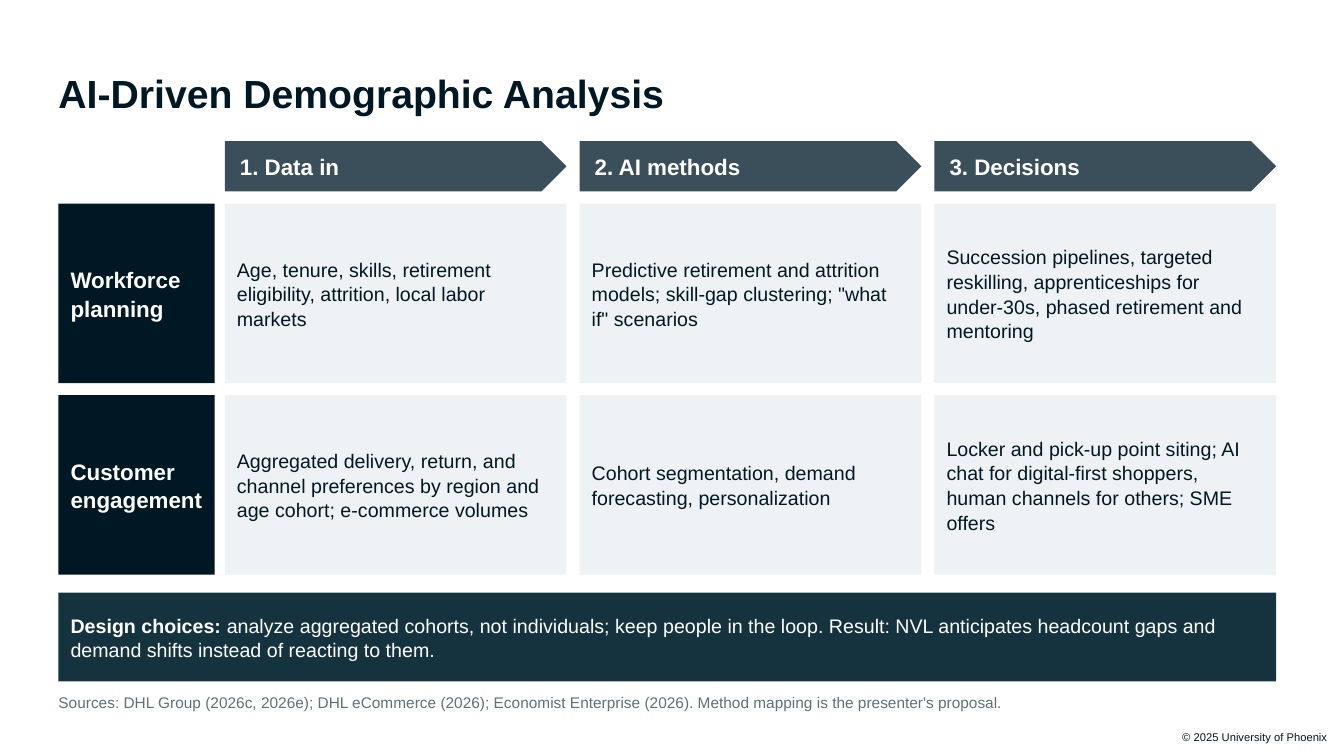
"""Build a slide that maps demographic data to AI methods and decisions."""
from pptx import Presentation
from pptx.dml.color import RGBColor
from pptx.enum.shapes import MSO_SHAPE
from pptx.enum.text import MSO_ANCHOR, MSO_AUTO_SIZE, PP_ALIGN
from pptx.util import Pt

RECTANGLE, PENTAGON = MSO_SHAPE.RECTANGLE, MSO_SHAPE.PENTAGON
TOP, MIDDLE, BOTTOM = MSO_ANCHOR.TOP, MSO_ANCHOR.MIDDLE, MSO_ANCHOR.BOTTOM
LEFT, RIGHT = PP_ALIGN.LEFT, PP_ALIGN.RIGHT
NO_AUTOFIT = MSO_AUTO_SIZE.NONE

COLORS = {
    "ink": "001823",
    "header": "3A4F59",
    "cell": "EEF2F4",
    "banner": "15333E",
    "source": "5E7079",
    "white": "FFFFFF",
}
FONT = "Arial"
MARGIN, CONTENT_WIDTH = 41.76, 869.76
LABEL_WIDTH = 111.6
COLUMN_LEFT, COLUMN_STEP, COLUMN_WIDTH = 160.56, 253.44, 244.08
ROW_TOP, ROW_STEP, ROW_HEIGHT = 145.44, 136.8, 128.16
NO_INSETS = (0, 0, 0, 0)
BOX_INSETS = (8.64, 5.76, 8.64, 5.76)
HEADER_INSETS = (10.8, 2.88, 21.6, 2.88)

HEADERS = ["1. Data in", "2. AI methods", "3. Decisions"]
ROWS = [
    ("Workforce planning", [
        "Age, tenure, skills, retirement eligibility, attrition, local labor markets",
        'Predictive retirement and attrition models; skill-gap clustering; "what if" scenarios',
        "Succession pipelines, targeted reskilling, apprenticeships for under-30s, "
        "phased retirement and mentoring",
    ]),
    ("Customer engagement", [
        "Aggregated delivery, return, and channel preferences by region and age cohort; "
        "e-commerce volumes",
        "Cohort segmentation, demand forecasting, personalization",
        "Locker and pick-up point siting; AI chat for digital-first shoppers, "
        "human channels for others; SME offers",
    ]),
]
DESIGN_CHOICES = [
    ("Design choices: ", True),
    ("analyze aggregated cohorts, not individuals; keep people in the loop. Result: NVL "
     "anticipates headcount gaps and demand shifts instead of reacting to them.", False),
]
SOURCES = ("Sources: DHL Group (2026c, 2026e); DHL eCommerce (2026); Economist Enterprise "
           "(2026). Method mapping is the presenter's proposal.")


def write_text(shape, runs, size, color, insets=NO_INSETS, anchor=TOP, align=LEFT,
               line_spacing=1.0):
    """Write (text, bold) runs as one paragraph and format the frame."""
    frame = shape.text_frame
    frame.word_wrap = True
    frame.auto_size = NO_AUTOFIT
    frame.vertical_anchor = anchor
    frame.margin_left, frame.margin_top, frame.margin_right, frame.margin_bottom = map(Pt, insets)
    paragraph = frame.paragraphs[0]
    paragraph.alignment = align
    paragraph.line_spacing = line_spacing
    for text, bold in runs:
        run = paragraph.add_run()
        run.text = text
        run.font.name = FONT
        run.font.size = Pt(size)
        run.font.bold = bold
        run.font.color.rgb = RGBColor.from_string(COLORS[color])


def add_title(slide, text):
    """Place and fill the title placeholder."""
    title = slide.shapes.title
    title.left, title.top = Pt(MARGIN), Pt(36)
    title.width, title.height = Pt(CONTENT_WIDTH), Pt(46.8)
    write_text(title, [(text, True)], 28, "ink", anchor=BOTTOM)


def add_note(slide, place, text, size, color, align=LEFT):
    """Add a plain line of small text."""
    box = slide.shapes.add_textbox(*map(Pt, place))
    write_text(box, [(text, False)], size, color, align=align)


def add_panel(slide, place, fill, runs, size, color, kind=RECTANGLE, insets=BOX_INSETS):
    """Add a filled shape with vertically centred text."""
    panel = slide.shapes.add_shape(kind, *map(Pt, place))
    panel.shadow.inherit = False
    panel.fill.solid()
    panel.fill.fore_color.rgb = RGBColor.from_string(COLORS[fill])
    panel.line.fill.background()
    write_text(panel, runs, size, color, insets, MIDDLE, line_spacing=1.05)


def add_matrix(slide):
    """Add the step headers, the row labels and the cells."""
    lefts = [COLUMN_LEFT + index * COLUMN_STEP for index in range(len(HEADERS))]
    for left, header in zip(lefts, HEADERS):
        add_panel(slide, (left, 100.8, COLUMN_WIDTH, 36), "header", [(header, True)],
                  16, "white", PENTAGON, HEADER_INSETS)
    for index, (label, cells) in enumerate(ROWS):
        top = ROW_TOP + index * ROW_STEP
        add_panel(slide, (MARGIN, top, LABEL_WIDTH, ROW_HEIGHT), "ink", [(label, True)],
                  16, "white")
        for left, cell in zip(lefts, cells):
            add_panel(slide, (left, top, COLUMN_WIDTH, ROW_HEIGHT), "cell",
                      [(cell, False)], 14, "ink")


def main():
    """Build and save the presentation."""
    presentation = Presentation()
    presentation.slide_width, presentation.slide_height = Pt(960), Pt(540)
    slide = presentation.slides.add_slide(presentation.slide_layouts.get_by_name("Title Only"))
    add_title(slide, "AI-Driven Demographic Analysis")
    add_note(slide, (252, 522, 696.24, 18), "© 2025 University of Phoenix", 8, "ink", RIGHT)
    add_matrix(slide)
    add_panel(slide, (MARGIN, 423.36, CONTENT_WIDTH, 63.36), "banner", DESIGN_CHOICES,
              14, "white")
    add_note(slide, (MARGIN, 495.36, CONTENT_WIDTH, 21.6), SOURCES, 11, "source")
    presentation.save("out.pptx")


if __name__ == "__main__":
    main()
